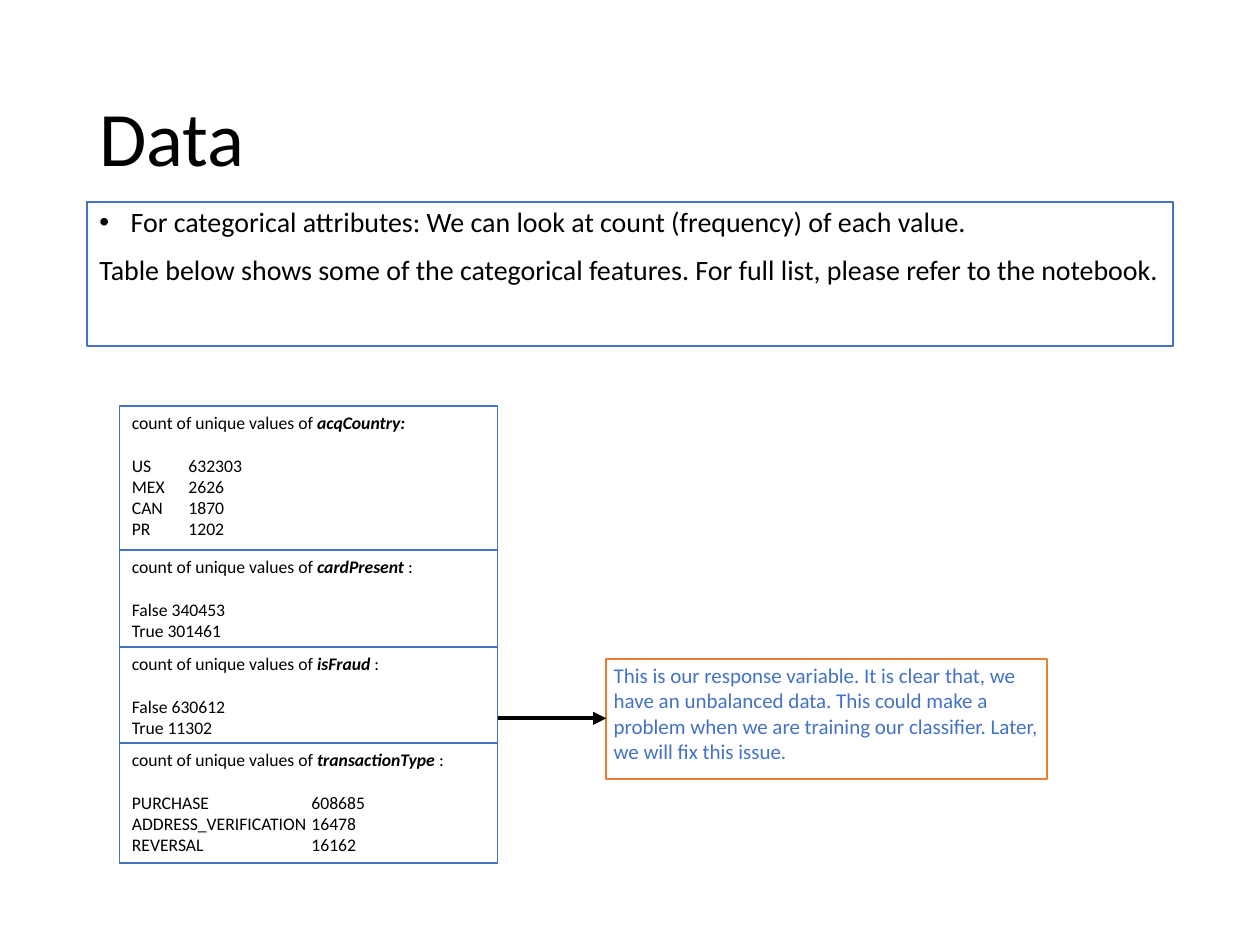
from lxml.etree import SubElement
from pptx import Presentation
from pptx.dml.color import RGBColor
from pptx.enum.shapes import MSO_CONNECTOR, MSO_SHAPE
from pptx.enum.text import MSO_ANCHOR, MSO_AUTO_SIZE, PP_ALIGN
from pptx.oxml.ns import qn
from pptx.util import Cm, Pt

FONT = "Calibri"
BLACK, WHITE, BLUE, ORANGE = "000000", "FFFFFF", "4472C4", "ED7D31"
COUNT_SIZE = 10.1

# Attribute, top, height, tab position of the counts (None: one space), counts
COUNT_BOXES = [
    ("acqCountry:", "", 8.18, 3.28, 1.14,
     [("US", 632303), ("MEX", 2626), ("CAN", 1870), ("PR", 1202)]),
    ("cardPresent", " :", 11.09, 1.97, None, [("False", 340453), ("True", 301461)]),
    ("isFraud", " :", 13.04, 1.97, None, [("False", 630612), ("True", 11302)]),
    ("transactionType", " :", 14.98, 2.42, 3.62,
     [("PURCHASE", 608685), ("ADDRESS_VERIFICATION", 16478), ("REVERSAL", 16162)]),
]


def rgb(value):
    return RGBColor.from_string(value)


def place(shape, left, top, width, height):
    shape.left, shape.top = Cm(left), Cm(top)
    shape.width, shape.height = Cm(width), Cm(height)


def format_box(shape, line_color):
    shape.fill.solid()
    shape.fill.fore_color.rgb = rgb(WHITE)
    shape.line.color.rgb = rgb(line_color)
    shape.line.width = Pt(1)


def format_frame(frame, anchor=MSO_ANCHOR.TOP):
    frame.word_wrap = True
    frame.auto_size = MSO_AUTO_SIZE.NONE
    frame.vertical_anchor = anchor


def style_paragraph(paragraph, size, color=BLACK):
    paragraph.alignment = PP_ALIGN.LEFT
    for font in (paragraph.font, *(run.font for run in paragraph.runs)):
        font.name, font.size = FONT, Pt(size)
        font.color.rgb = rgb(color)


def add_box(slide, left, top, width, height, line_color):
    shape = slide.shapes.add_shape(
        MSO_SHAPE.RECTANGLE, Cm(left), Cm(top), Cm(width), Cm(height))
    shape.shadow.inherit = False
    format_box(shape, line_color)
    format_frame(shape.text_frame)
    return shape


def set_indent(paragraph, indent, bullet=None):
    properties = paragraph._p.get_or_add_pPr()
    properties.set("marL", str(Cm(indent)))
    properties.set("indent", str(-Cm(indent)))
    if bullet:
        SubElement(properties, qn("a:buFont"), typeface="Arial")
        SubElement(properties, qn("a:buChar"), char=bullet)
    else:
        SubElement(properties, qn("a:buNone"))


def add_tab_stop(paragraph, position):
    tabs = SubElement(paragraph._p.get_or_add_pPr(), qn("a:tabLst"))
    SubElement(tabs, qn("a:tab"), pos=str(Cm(position)), algn="l")


def fill_title(title, left, top, width, height):
    place(title, left, top, width, height)
    format_frame(title.text_frame, MSO_ANCHOR.MIDDLE)
    title.text_frame.text = "Data"
    paragraph = title.text_frame.paragraphs[0]
    paragraph.line_spacing = 0.9
    style_paragraph(paragraph, 44)


def fill_introduction(body, left, top, width, height):
    place(body, left, top, width, height)
    format_box(body, BLUE)
    frame = body.text_frame
    format_frame(frame)
    frame.text = (
        "For categorical attributes: We can look at count (frequency) of each value.\n"
        "Table below shows some of the categorical features. "
        "For full list, please refer to the notebook.")
    for paragraph, indent, bullet in zip(frame.paragraphs, (0.63, 0), ("•", None)):
        paragraph.line_spacing = 0.9
        paragraph.space_before = Pt(10)
        set_indent(paragraph, indent, bullet)
        style_paragraph(paragraph, 16)


def add_count_box(slide, left, top, width, height, name, ending, tab, counts):
    frame = add_box(slide, left, top, width, height, BLUE).text_frame
    # Heading with the attribute name emphasised
    heading = frame.paragraphs[0]
    heading.add_run().text = "count of unique values of "
    attribute = heading.add_run()
    attribute.text = name
    attribute.font.bold = attribute.font.italic = True
    if ending:
        heading.add_run().text = ending
    heading.space_after = Pt(12.3)
    style_paragraph(heading, COUNT_SIZE)
    # One line per value
    for value, count in counts:
        paragraph = frame.add_paragraph()
        paragraph.text = f"{value}\t{count}" if tab else f"{value} {count}"
        if tab:
            add_tab_stop(paragraph, tab)
        style_paragraph(paragraph, COUNT_SIZE)


def add_note(slide, left, top, width, height):
    frame = add_box(slide, left, top, width, height, ORANGE).text_frame
    frame.margin_left = frame.margin_right = Cm(0.15)
    frame.margin_top = frame.margin_bottom = Cm(0.08)
    frame.text = (
        "This is our response variable. It is clear that, we have an unbalanced data. "
        "This could make a problem when we are training our classifier. "
        "Later, we will fix this issue.")
    style_paragraph(frame.paragraphs[0], 12, BLUE)


def add_arrow(slide, start, end, y):
    arrow = slide.shapes.add_connector(
        MSO_CONNECTOR.STRAIGHT, Cm(start), Cm(y), Cm(end), Cm(y))
    arrow.line.color.rgb = rgb(BLACK)
    arrow.line.width = Pt(2.5)
    SubElement(arrow.line._get_or_add_ln(), qn("a:tailEnd"), type="triangle")
    SubElement(arrow._element.spPr, qn("a:effectLst"))


def main():
    presentation = Presentation()
    presentation.slide_width, presentation.slide_height = Cm(25.4), Cm(19.05)
    slide = presentation.slides.add_slide(presentation.slide_layouts[1])

    fill_title(slide.shapes.title, 1.75, 1.01, 21.9, 3.68)
    fill_introduction(slide.placeholders[1], 1.75, 4.07, 21.9, 2.9)

    # Counts of each attribute, stacked
    left, width = 2.41, 7.62
    for name, ending, top, height, tab, counts in COUNT_BOXES:
        add_count_box(slide, left, top, width, height, name, ending, tab, counts)

    # Remark on the response variable
    note_left = 12.22
    add_note(slide, note_left, 13.28, 8.89, 2.42)
    add_arrow(slide, left + width, note_left, 14.48)

    presentation.save("out.pptx")


if __name__ == "__main__":
    main()
